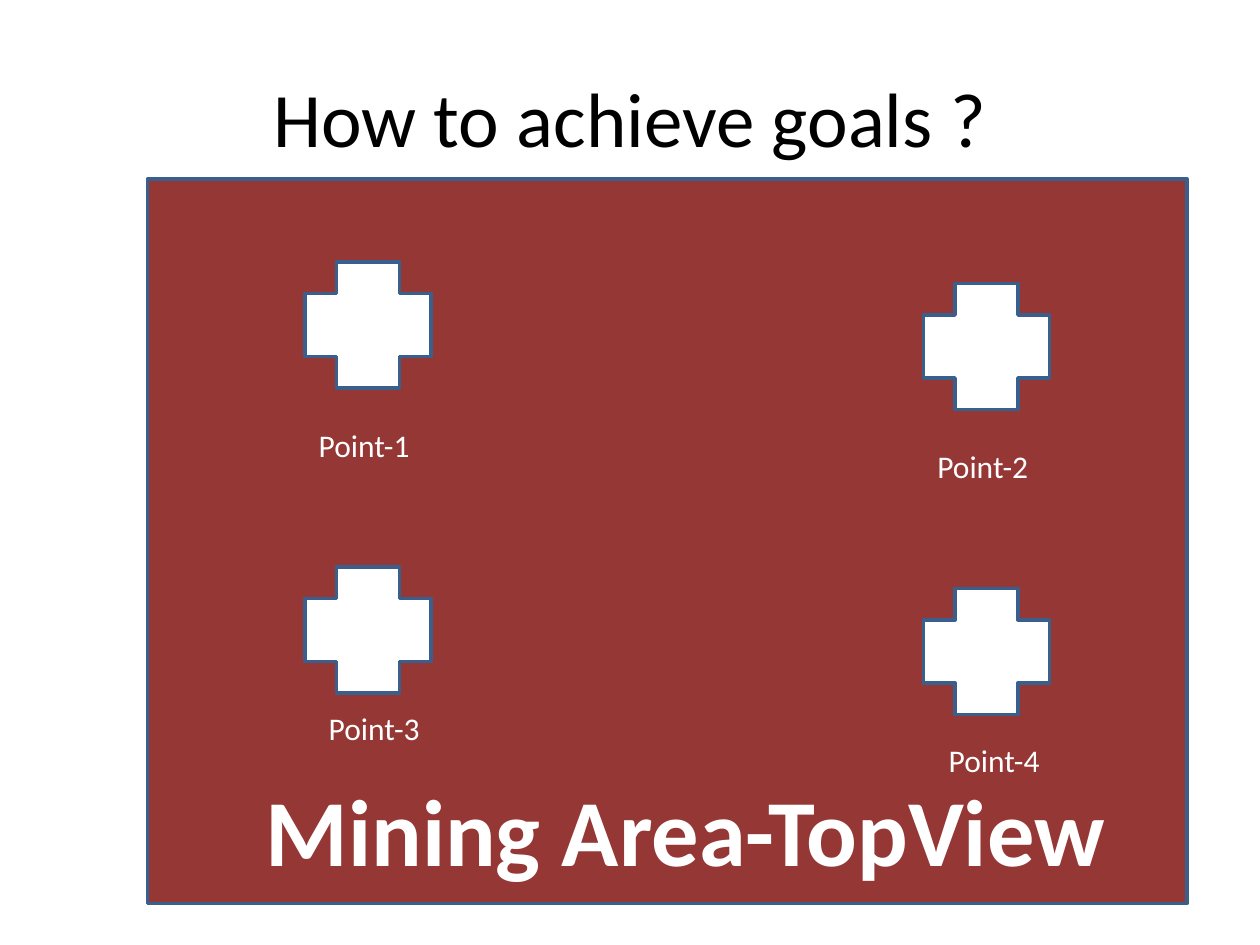
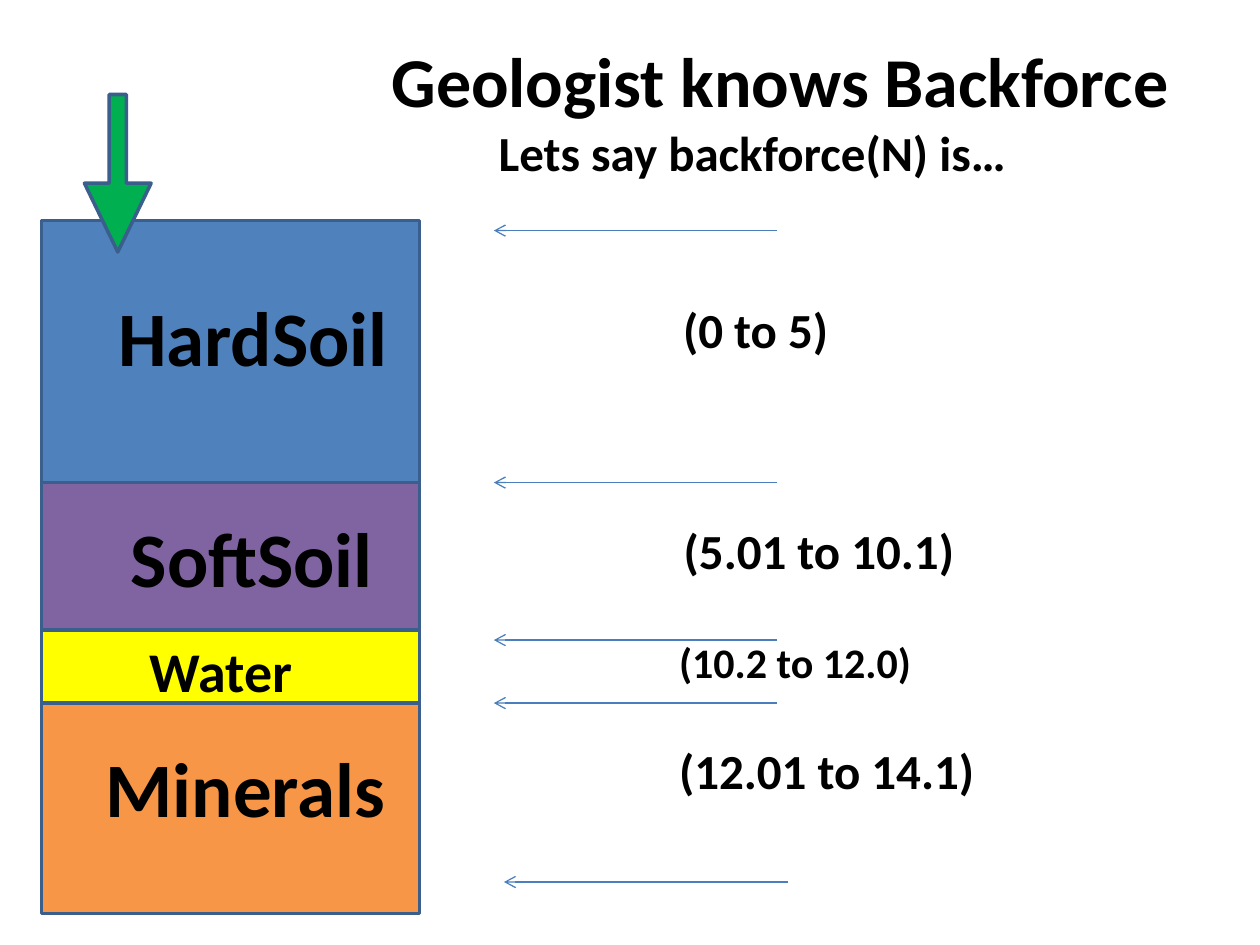
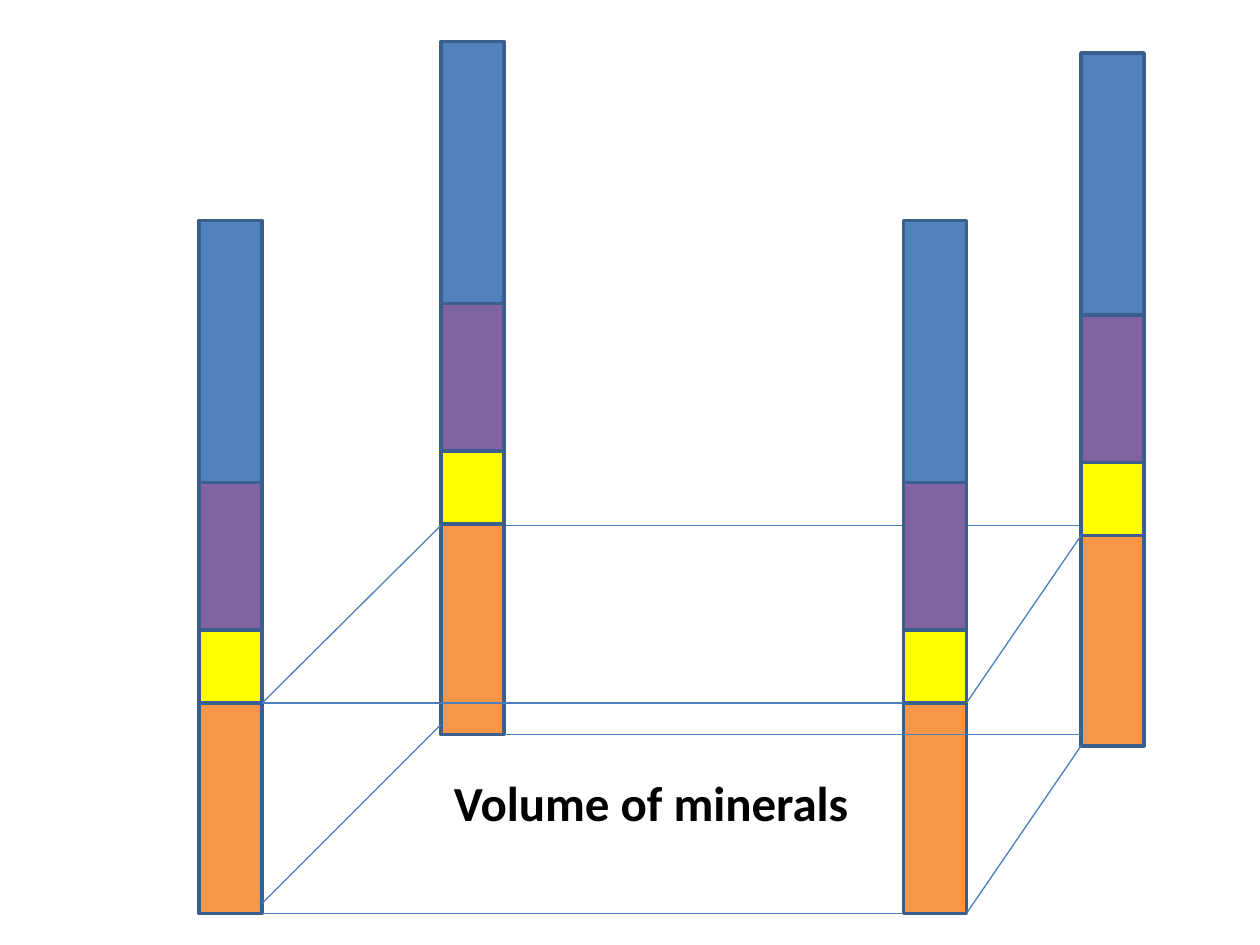
"""Build three slides on locating minerals from drilling back force."""
from lxml import etree
from pptx import Presentation
from pptx.dml.color import RGBColor
from pptx.enum import shapes, text
from pptx.oxml import ns
from pptx.util import Inches, Pt

FONT = "Calibri"
BLACK, WHITE = "000000", "FFFFFF"
EDGE, WIRE = "3A5F8C", "4B7EBC"
AREA, DRILL = "953735", "00B050"
LEFT, CENTER, RIGHT = text.PP_ALIGN.LEFT, text.PP_ALIGN.CENTER, text.PP_ALIGN.RIGHT
KINDS = shapes.MSO_SHAPE

GOAL_TITLE = "How to achieve goals ?"
AREA_NAME = ("Mining Area-TopView", (1.95, 6.08, 6.98, 1.01))
POINTS = [
    ("Point-1", (2.42, 2.08), (2.42, 3.33)),
    ("Point-2", (7.33, 2.25), (7.33, 3.5)),
    ("Point-3", (2.42, 4.5), (2.5, 5.58)),
    ("Point-4", (7.33, 4.67), (7.42, 5.83)),
]

FORCE_TITLE = "Geologist knows Backforce "
LAYERS = [
    {"fill": "4F81BD", "depth": 0, "height": 2.08},
    {"fill": "8064A2", "depth": 2.08, "height": 1.17},
    {"fill": "F79646", "depth": 3.75, "height": 1.75},
    {"fill": "FFFF00", "depth": 3.25, "height": 0.58},
]
LAYER_NAMES = [
    ("HardSoil", (0.83, 2.25, 2.36, 0.84), 44),
    ("SoftSoil", (0.92, 4, 2.16, 0.84), 44),
    ("Minerals", (0.73, 5.83, 2.44, 0.84), 44),
    ("Water ", (1.08, 5, 1.45, 0.64), 32),
]
FORCES = [
    ("Lets say backforce(N) is…", (2.08, 0.92, 6, 0.57), 28),
    ("(0 to 5)", (2.92, 2.33, 3.75, 0.57), 28),
    ("(5.01 to 10.1)", (3.92, 4.08, 3.75, 0.57), 28),
    ("(10.2 to 12.0)", (3.58, 5, 3.75, 0.5), 24),
    ("(12.01 to 14.1)", (4.08, 5.83, 3.75, 0.57), 28),
]
ARROW_STARTS = [(6.17, 1.83), (6.17, 3.83), (6.17, 5.08), (6.17, 5.58), (6.25, 7)]
ARROW_LENGTH = 2.25

VOLUME = ("Volume of minerals", (0.83, 6.08, 6, 0.57), 28)
COLUMNS = [(1.58, 1.75), (3.5, 0.33), (7.17, 1.75), (8.58, 0.42)]
COLUMN_WIDTH = 0.5
BACK_EDGE = ((4, 4.17), (8.67, 4.17))
VOLUME_EDGES = [
    ((2.08, 5.58), (3.5, 4.17)),
    ((2.08, 7.17), (3.5, 5.75)),
    ((7.67, 7.25), (8.58, 5.92)),
    ((7.67, 5.58), (8.58, 4.25)),
    ((7.17, 7.25), (2.08, 7.25)),
    ((4, 5.83), (8.58, 5.83)),
    ((2.08, 5.58), (7.17, 5.58)),
]


def color(value):
    return RGBColor.from_string(value)


def lengths(values):
    return [Inches(value) for value in values]


def write(frame, words, size, align, bold=True, ink=BLACK):
    para = frame.paragraphs[0]
    para.alignment = align
    span = para.add_run()
    span.text = words
    for name, value in {"name": FONT, "size": Pt(size), "bold": bold}.items():
        setattr(span.font, name, value)
    span.font.color.rgb = color(ink)


def add_title(page, words, place, size, align, anchor, bold):
    title = page.shapes.title
    for name, value in zip(("left", "top", "width", "height"), lengths(place)):
        setattr(title, name, value)
    frame = title.text_frame
    frame.auto_size = text.MSO_AUTO_SIZE.NONE
    frame.vertical_anchor = anchor
    write(frame, words, size, align, bold)


def add_text(page, words, place, size, align=RIGHT, **style):
    frame = page.shapes.add_textbox(*lengths(place)).text_frame
    frame.word_wrap = align == RIGHT
    frame.auto_size = text.MSO_AUTO_SIZE.SHAPE_TO_FIT_TEXT
    write(frame, words, size, align, **style)


def add_block(page, kind, place, fill):
    block = page.shapes.add_shape(kind, *lengths(place))
    block.shadow.inherit = False
    block.fill.solid()
    block.fill.fore_color.rgb = color(fill)
    block.line.color.rgb = color(EDGE)
    block.line.width = Pt(2)
    return block


def add_line(page, start, end, arrow=False):
    wire = page.shapes.add_connector(
        shapes.MSO_CONNECTOR.STRAIGHT, *lengths(start + end))
    wire.line.color.rgb = color(WIRE)
    wire.line.width = Pt(0.75)
    if arrow:
        outline = wire.line._get_or_add_ln()
        etree.SubElement(outline, ns.qn("a:tailEnd"), type="arrow")
    etree.SubElement(wire._element.spPr, ns.qn("a:effectLst"))


def add_column(page, left, top, width):
    for layer in LAYERS:
        place = (left, top + layer["depth"], width, layer["height"])
        add_block(page, KINDS.RECTANGLE, place, layer["fill"])


def build_goals(page):
    add_title(page, GOAL_TITLE, (0.5, 0.3, 9, 1.25), 44, CENTER,
              text.MSO_ANCHOR.MIDDLE, False)
    add_block(page, KINDS.RECTANGLE, (1.17, 1.42, 8.25, 5.75), AREA)
    add_text(page, *AREA_NAME, 54, CENTER, ink=WHITE)
    for name, cross, label in POINTS:
        add_block(page, KINDS.CROSS, cross + (1, 1), WHITE)
        add_text(page, name, label + (0.94, 0.4), 18, CENTER, bold=False, ink=WHITE)


def build_forces(page):
    add_title(page, FORCE_TITLE, (1.58, 0.25, 7.92, 0.77), 40, RIGHT,
              text.MSO_ANCHOR.TOP, True)
    for left, top in ARROW_STARTS:
        add_line(page, (left, top), (left - ARROW_LENGTH, top), arrow=True)
    add_column(page, 0.33, 1.75, 3)
    drill = add_block(page, KINDS.DOWN_ARROW, (0.67, 0.75, 0.53, 1.25), DRILL)
    drill.adjustments[0], drill.adjustments[1] = 0.26, 1.03
    for name in LAYER_NAMES:
        add_text(page, *name, CENTER)
    for force in FORCES:
        add_text(page, *force)


def build_volume(page):
    add_line(page, *BACK_EDGE)
    for left, top in COLUMNS:
        add_column(page, left, top, COLUMN_WIDTH)
    for edge in VOLUME_EDGES:
        add_line(page, *edge)
    add_text(page, *VOLUME)


def main():
    deck = Presentation()
    deck.slide_width, deck.slide_height = Inches(10), Inches(7.5)
    title_only, blank = deck.slide_layouts[5], deck.slide_layouts[6]
    for build, layout in ((build_goals, title_only), (build_forces, title_only),
                          (build_volume, blank)):
        build(deck.slides.add_slide(layout))
    deck.save("out.pptx")


if __name__ == "__main__":
    main()
